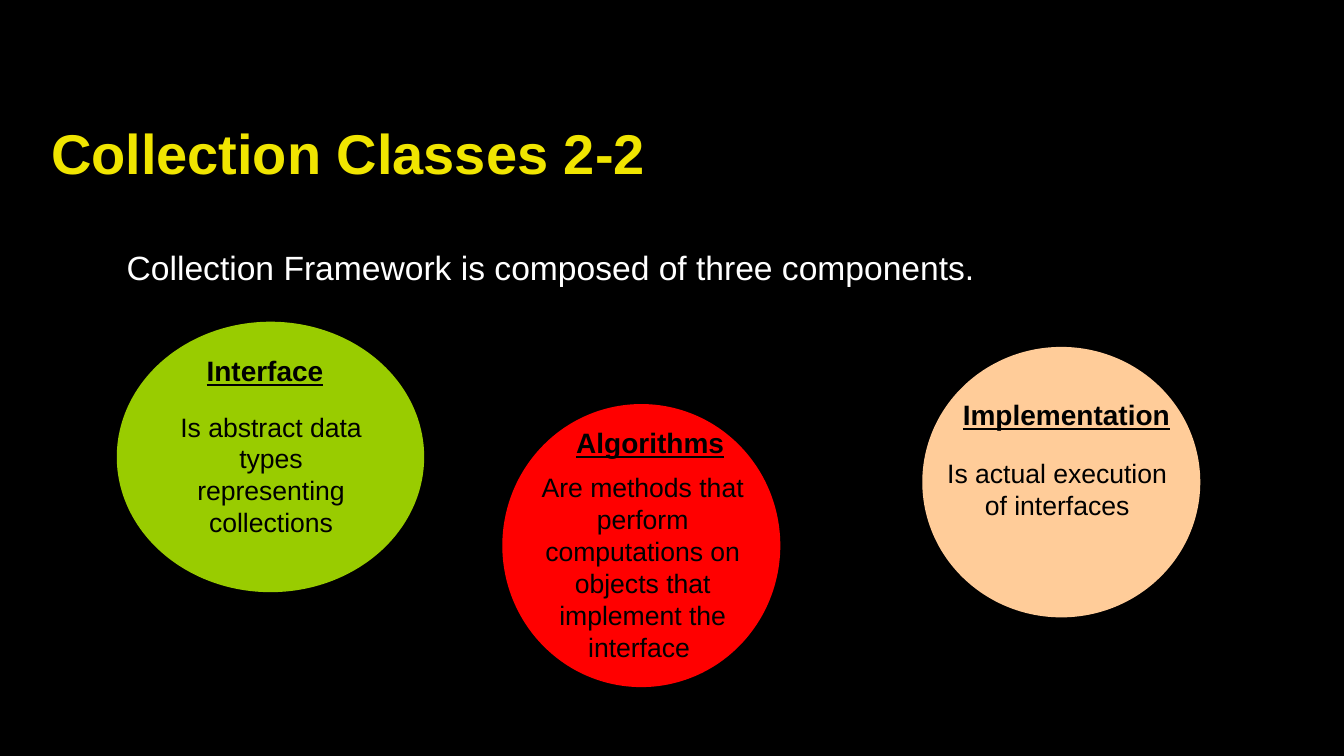
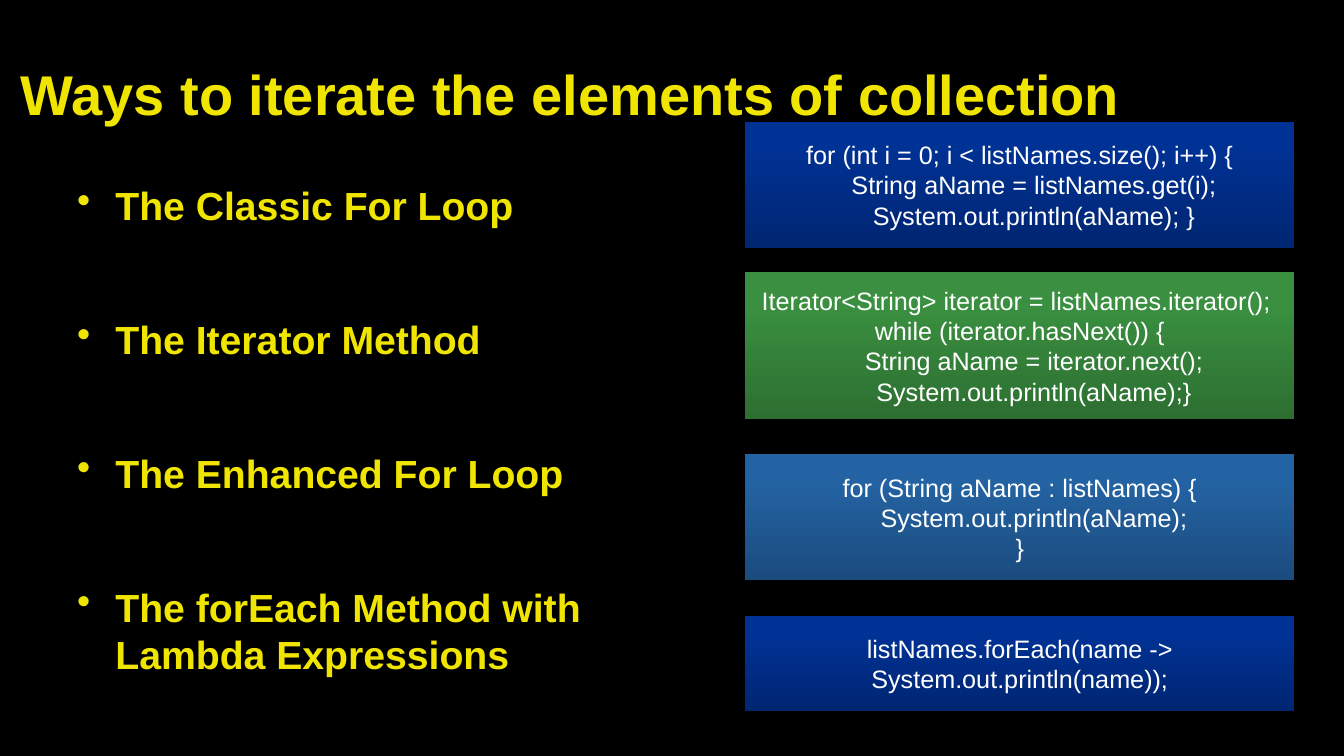
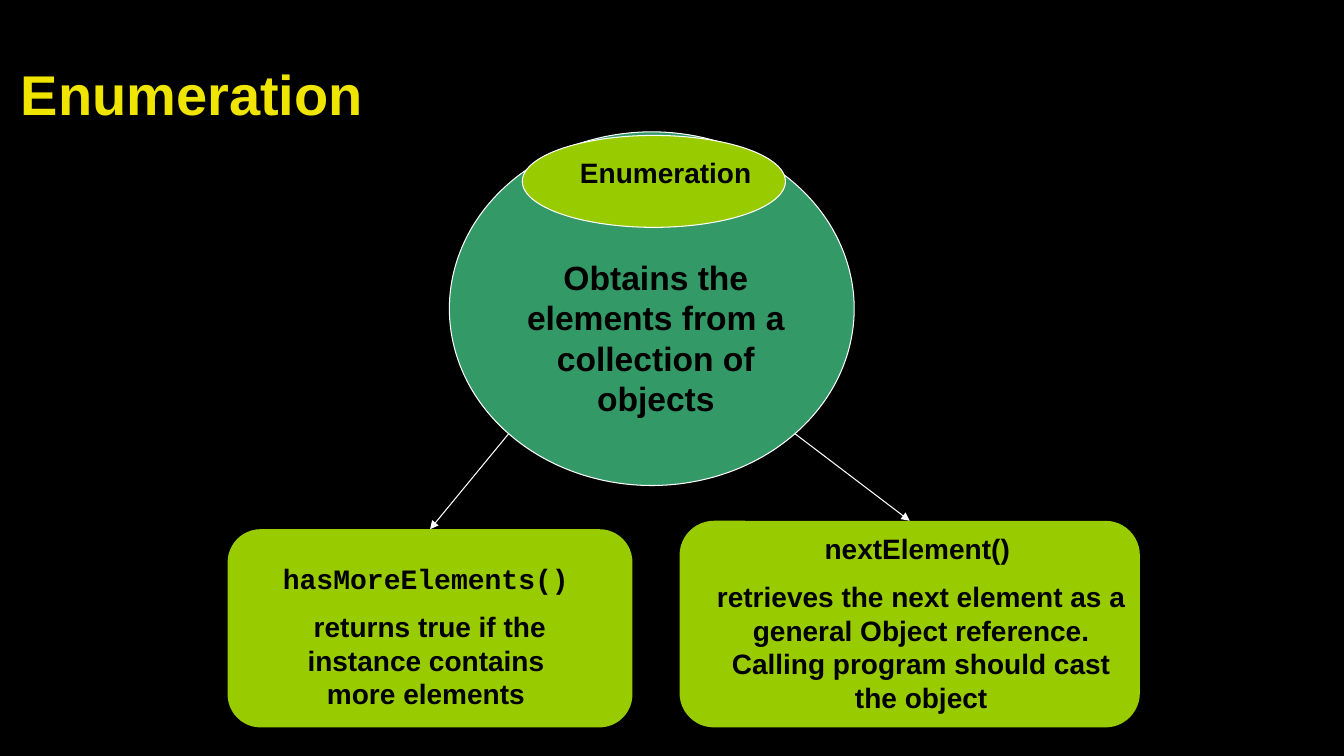
from dataclasses import dataclass
from math import sqrt

from lxml.etree import SubElement
from pptx import Presentation
from pptx.dml.color import RGBColor
from pptx.enum.shapes import MSO_CONNECTOR, MSO_SHAPE
from pptx.enum.text import MSO_ANCHOR, PP_ALIGN
from pptx.oxml.ns import qn
from pptx.util import Inches, Pt


@dataclass(frozen=True)
class Theme:
    black: str = "000000"
    white: str = "FFFFFF"
    yellow: str = "F0E500"
    lime: str = "99CC00"
    red: str = "FF0000"
    peach: str = "FFCC99"
    sea_green: str = "339966"
    navy_gradient: tuple = ("002672", "003194")
    green_gradient: tuple = ("2D6F31", "3A9040")
    blue_gradient: tuple = ("1B4C7E", "2363A3")
    font: str = "Arial"
    code_font: str = "Courier New"
    title_size: float = 40
    bullet_size: float = 28
    lead_size: float = 24
    label_size: float = 20
    detail_size: float = 19
    code_size: float = 18
    line_width: float = 0.75


@dataclass(frozen=True)
class Box:
    left: float
    top: float
    width: float
    height: float

    def inside(self, left, top, width, height):
        return Box(self.left + left * self.width, self.top + top * self.height,
                   width * self.width, height * self.height)

    def point(self, across, down):
        return cell(self.left + across * self.width), cell(self.top + down * self.height)

    def lengths(self):
        return [cell(value) for value in (self.left, self.top, self.width, self.height)]


THEME = Theme()
COLUMNS, ROWS = 160, 90
SLIDE_HEIGHT = Inches(7.5)
TITLE_BOX = Box(1.3, 3.6, 144, 15)


def cell(count):
    return round(count * SLIDE_HEIGHT / ROWS)


def color(value):
    return RGBColor.from_string(value)


def style(paragraph, size, ink, bold=False, align=PP_ALIGN.LEFT, font=THEME.font):
    paragraph.alignment = align
    paragraph.font.name = font
    paragraph.font.size = Pt(size)
    paragraph.font.bold = bold
    paragraph.font.color.rgb = color(ink)


def indent(paragraph, left, first=0):
    properties = paragraph._p.get_or_add_pPr()
    properties.set("marL", str(Inches(left)))
    properties.set("indent", str(Inches(first)))


def add_text(slide, box, lines, size, ink, anchor=MSO_ANCHOR.TOP, **options):
    frame = slide.shapes.add_textbox(*box.lengths()).text_frame
    frame.word_wrap = True
    frame.vertical_anchor = anchor
    frame.text = "\n".join(lines)
    for paragraph in frame.paragraphs:
        style(paragraph, size, ink, **options)
    return frame.paragraphs


def add_title(slide, text, box=TITLE_BOX):
    add_text(slide, box, [text], THEME.title_size, THEME.yellow,
             anchor=MSO_ANCHOR.MIDDLE, bold=True)


def add_panel(slide, kind, box, fill, line=None):
    shape = slide.shapes.add_shape(kind, *box.lengths())
    shape.shadow.inherit = False
    if isinstance(fill, tuple):
        shape.fill.gradient()
        shape.fill.gradient_angle = 90
        for stop, position, tone in zip(shape.fill.gradient_stops, (0, 0.8), fill):
            stop.position = position
            stop.color.rgb = color(tone)
    else:
        shape.fill.solid()
        shape.fill.fore_color.rgb = color(fill)
    if line:
        shape.line.color.rgb = color(line)
        shape.line.width = Pt(THEME.line_width)
    else:
        shape.line.fill.background()
    return shape


def add_component(slide, box, fill, heading, heading_area, detail, detail_area, margin=0):
    add_panel(slide, MSO_SHAPE.OVAL, box, fill)
    label, = add_text(slide, box.inside(*heading_area), [heading],
                      THEME.label_size, THEME.black, bold=True)
    label.font.underline = True
    body, = add_text(slide, box.inside(*detail_area), [detail],
                     THEME.detail_size, THEME.black, align=PP_ALIGN.CENTER)
    indent(body, margin)


def add_bullets(slide, box, lines):
    paragraphs = add_text(slide, box, lines, THEME.bullet_size, THEME.yellow, bold=True)
    for number, paragraph in enumerate(paragraphs):
        paragraph.space_before = Pt(62 if number else 0)
        indent(paragraph, 0.38, -0.38)
        properties = paragraph._p.get_or_add_pPr()
        bullet = SubElement(properties, qn("a:buChar"))
        bullet.set("char", "•")
        properties.find(qn("a:defRPr")).addprevious(bullet)


def add_code(slide, box, gradient, lines):
    frame = add_panel(slide, MSO_SHAPE.RECTANGLE, box, gradient).text_frame
    frame.word_wrap = True
    frame.vertical_anchor = MSO_ANCHOR.MIDDLE
    frame.text = "\n".join(line for _, line in lines)
    for paragraph, (level, _) in zip(frame.paragraphs, lines):
        style(paragraph, THEME.code_size, THEME.white, align=PP_ALIGN.CENTER)
        indent(paragraph, 0.28 * level)


def add_collection(slide, box):
    add_panel(slide, MSO_SHAPE.OVAL, box, THEME.sea_green, THEME.white)
    lid = box.inside(0.18, 0.01, 0.65, 0.26)
    add_panel(slide, MSO_SHAPE.OVAL, lid, THEME.lime, THEME.white)
    centred = {"bold": True, "align": PP_ALIGN.CENTER}
    add_text(slide, lid.inside(0.15, 0.17, 0.79, 0.48), ["Enumeration"],
             THEME.label_size, THEME.black, **centred)
    add_text(slide, box.inside(0.14, 0.34, 0.74, 0.49),
             ["Obtains the elements from a collection of objects"],
             THEME.lead_size, THEME.black, **centred)


def add_method(slide, box, text_area, name, detail, name_font):
    card = add_panel(slide, MSO_SHAPE.ROUNDED_RECTANGLE, box, THEME.lime)
    heading, body = add_text(slide, box.inside(*text_area), [name, detail], THEME.label_size,
                             THEME.black, bold=True, align=PP_ALIGN.CENTER)
    heading.font.name = name_font
    body.space_before = Pt(10)
    return card


def add_arrow(slide, start, card):
    arrow = slide.shapes.add_connector(MSO_CONNECTOR.STRAIGHT, *start, *start)
    arrow.end_connect(card, 0)
    arrow.line.color.rgb = color(THEME.white)
    arrow.line.width = Pt(THEME.line_width)
    SubElement(arrow.line._get_or_add_ln(), qn("a:tailEnd")).set("type", "triangle")
    SubElement(arrow._element.spPr, qn("a:effectLst"))


def build_components(slide):
    add_title(slide, "Collection Classes 2-2", Box(4.9, 11, 126.1, 14.2))
    add_component(slide, Box(13.9, 38.3, 36.6, 32.2), THEME.lime,
                  "Interface", (0.26, 0.1, 0.5, 0.16),
                  "Is abstract data types representing collections",
                  (-0.03, 0.31, 0.9, 0.51), margin=0.5)
    add_component(slide, Box(59.8, 48.1, 33.1, 33.7), THEME.red,
                  "Algorithms", (0.23, 0.06, 0.63, 0.16),
                  "Are methods that perform computations on objects that implement the interface ",
                  (0.05, 0.22, 0.91, 0.75))
    add_component(slide, Box(109.8, 41.3, 33.1, 32.2), THEME.peach,
                  "Implementation", (0.11, 0.17, 0.92, 0.16),
                  "Is actual execution of interfaces", (0.03, 0.39, 0.91, 0.28))
    add_text(slide, Box(13.9, 28.8, 117.2, 6.6),
             ["Collection Framework is composed of three components."],
             THEME.lead_size, THEME.white)


def build_iteration(slide):
    add_title(slide, "Ways to iterate the elements of collection")
    add_bullets(slide, Box(8, 21, 77.6, 65.4), [
        "The Classic For Loop", "The Iterator Method", "The Enhanced For Loop",
        "The forEach Method with \vLambda Expressions"])
    samples = [
        (14.5, 15, THEME.navy_gradient, [
            (0, "for (int i = 0; i < listNames.size(); i++) {"),
            (1, "String aName = listNames.get(i);"),
            (1, "System.out.println(aName); }")]),
        (32.4, 17.5, THEME.green_gradient, [
            (0, "Iterator<String> iterator = listNames.iterator(); "),
            (0, "while (iterator.hasNext()) {"),
            (1, "String aName = iterator.next();"),
            (1, "System.out.println(aName);}")]),
        (54.1, 15, THEME.blue_gradient, [
            (0, "for (String aName : listNames) {"),
            (1, "System.out.println(aName);"),
            (0, "}")]),
        (73.3, 11.3, THEME.navy_gradient, [
            (0, "listNames.forEach(name -> System.out.println(name));")]),
    ]
    for top, height, gradient, lines in samples:
        add_code(slide, Box(88.7, top, 65.4, height), gradient, lines)


def build_enumeration(slide):
    add_title(slide, "Enumeration")
    collection = Box(53.5, 15.7, 48.2, 42.1)
    add_collection(slide, collection)
    has_more = add_method(slide, Box(27.1, 63, 48.2, 23.6), (0.11, 0.14, 0.76, 0.81),
                          "hasMoreElements()",
                          " returns true if the instance contains more elements",
                          THEME.code_font)
    next_element = add_method(slide, Box(80.9, 62, 54.8, 24.6), (0.05, 0.03, 0.95, 0.94),
                              "nextElement() ",
                              "retrieves the next element as a general Object reference. "
                              "Calling program should cast the object", THEME.font)
    near = (1 - sqrt(0.5)) / 2
    far = 1 - near
    for across, card in ((near, has_more), (far, next_element)):
        add_arrow(slide, collection.point(across, far), card)


def main():
    presentation = Presentation()
    presentation.slide_width = cell(COLUMNS)
    presentation.slide_height = SLIDE_HEIGHT
    background = presentation.slide_master.background.fill
    background.solid()
    background.fore_color.rgb = color(THEME.black)
    for build in (build_components, build_iteration, build_enumeration):
        build(presentation.slides.add_slide(presentation.slide_layouts[6]))
    presentation.save("out.pptx")


if __name__ == "__main__":
    main()
